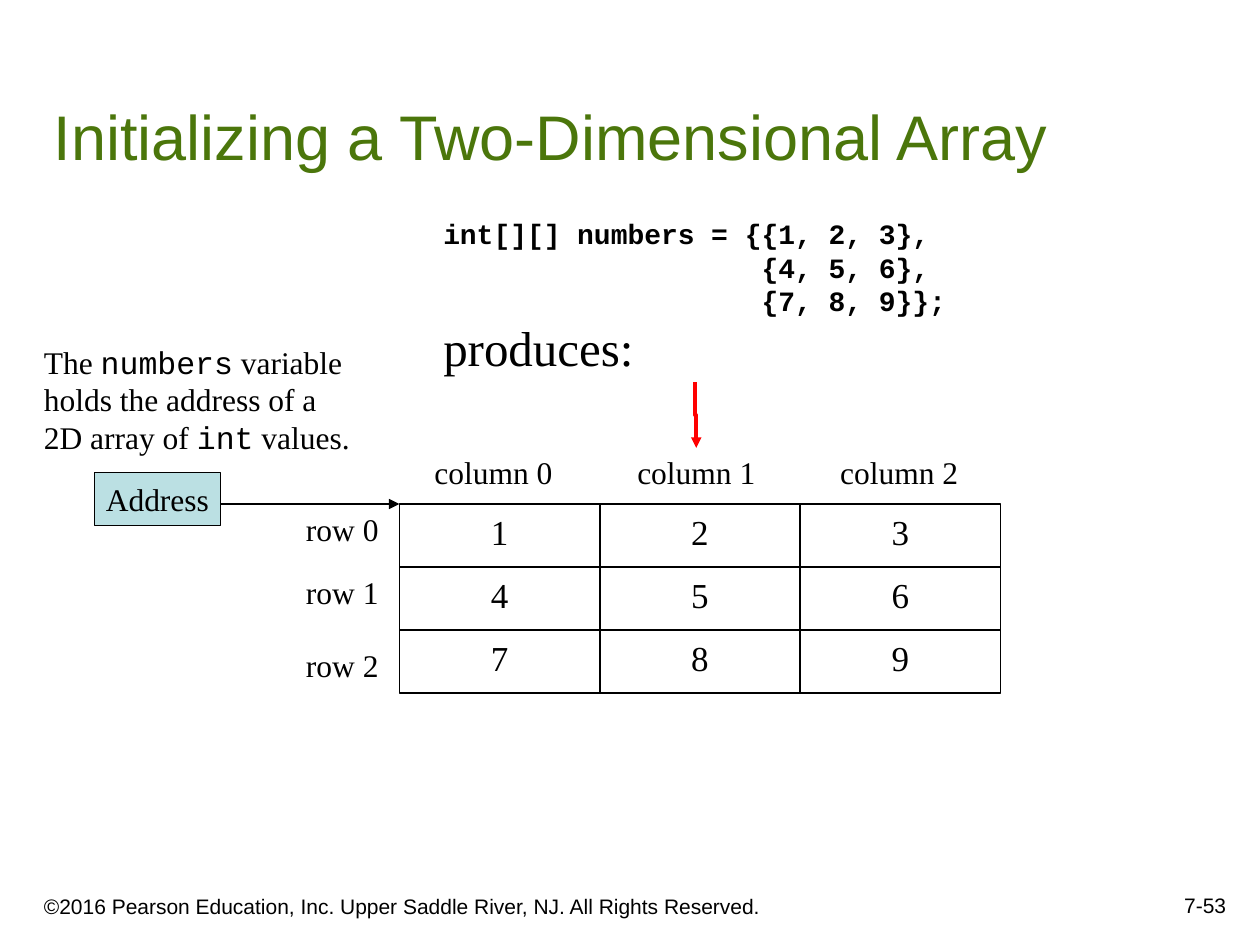
from lxml.etree import SubElement
from pptx import Presentation
from pptx.dml.color import RGBColor
from pptx.enum.shapes import MSO_CONNECTOR, MSO_SHAPE
from pptx.enum.text import MSO_ANCHOR, PP_ALIGN
from pptx.oxml.ns import qn
from pptx.util import Inches, Pt

hues = {"black": "000000", "green": "4B760B", "blue": "BBE0E3", "red": "FF0000"}
serif, sans, mono = "Times New Roman", "Arial", "Courier New"

deck = Presentation()
deck.slide_width, deck.slide_height = Inches(10), Inches(7.5)
slide = deck.slides.add_slide(deck.slide_layouts[6])


def write(shape, lines, size, face=serif, hue="black", align=PP_ALIGN.LEFT,
          anchor=MSO_ANCHOR.TOP, wrap=False):
    frame = shape.text_frame
    frame.word_wrap = wrap
    frame.vertical_anchor = anchor
    for i, line in enumerate(lines):
        para = frame.paragraphs[0] if i == 0 else frame.add_paragraph()
        para.alignment = align
        para.font.size = Pt(size)
        para.font.name = face
        para.font.color.rgb = RGBColor.from_string(hues[hue])
        for j, part in enumerate(line.split("`")):
            run = para.add_run()
            run.text = part
            if j % 2:
                run.font.name = mono
    return frame


def arrow(kind, ends, hue, width):
    link = slide.shapes.add_connector(kind, *[Inches(n) for n in ends])
    link.line.color.rgb = RGBColor.from_string(hues[hue])
    link.line.width = Pt(width)
    SubElement(link.line._get_or_add_ln(), qn("a:tailEnd"), type="triangle")
    SubElement(link._element.spPr, qn("a:effectLst"))
    return link


texts = [
    ((0.25, 6.92, 6.08, 0.42),
     ["©2016 Pearson Education, Inc. Upper Saddle River, NJ. All Rights Reserved."],
     dict(size=12, face=sans, anchor=MSO_ANCHOR.BOTTOM, wrap=True)),
    ((7.75, 6.83, 2.08, 0.5), ["7-53"],
     dict(size=12, face=sans, align=PP_ALIGN.RIGHT, anchor=MSO_ANCHOR.BOTTOM, wrap=True)),
    ((0.33, 0.33, 9.42, 1.09), ["Initializing a Two-Dimensional Array"],
     dict(size=36, face=sans, hue="green", anchor=MSO_ANCHOR.BOTTOM, wrap=True)),
    ((0.25, 2.67, 2.63, 1),
     ["The `numbers` variable", "holds the address of a", "2D array of `int` values."],
     dict(size=18)),
]
for i, top in enumerate((4, 4.5, 5.08)):
    texts.append(((2.33, top, 0.78, 0.4), [f"row {i}"], dict(size=18)))
    texts.append(((3.35 + 1.61 * i, 3.55, 1.14, 0.4), [f"column {i}"], dict(size=18)))
for place, lines, style in texts:
    box = slide.shapes.add_textbox(*[Inches(n) for n in place])
    write(box, lines, **style)

box = slide.shapes.add_textbox(Inches(3.42), Inches(1.67), Inches(4.2), Inches(1.37))
code = write(box, [
    "int[][] numbers = {{1, 2, 3},",
    "                   {4, 5, 6},",
    "                   {7, 8, 9}};",
    "produces:",
], 16, mono)
for para in code.paragraphs[:3]:
    para.font.bold = True
last = code.paragraphs[3].font
last.size, last.name = Pt(28), serif

rects = [((0.75, 3.75, 1, 0.42), "Address", 18, MSO_ANCHOR.MIDDLE, "blue", 0.75)]
for i in range(9):
    row, col = divmod(i, 3)
    place = (3.17 + 1.59 * col, 4 + 0.5 * row, 1.59, 0.5)
    rects.append((place, str(i + 1), 20, MSO_ANCHOR.TOP, None, 1))
for place, label, size, anchor, fill, width in rects:
    rect = slide.shapes.add_shape(MSO_SHAPE.RECTANGLE, *[Inches(n) for n in place])
    rect.shadow.inherit = False
    if fill:
        rect.fill.solid()
        rect.fill.fore_color.rgb = RGBColor.from_string(hues[fill])
    else:
        rect.fill.background()
    rect.line.color.rgb = RGBColor.from_string(hues["black"])
    rect.line.width = Pt(width)
    write(rect, [label], size, align=PP_ALIGN.CENTER, anchor=anchor, wrap=not fill)

arrow(MSO_CONNECTOR.STRAIGHT, (1.75, 4, 3.17, 4), "black", 0.75)
bend = arrow(MSO_CONNECTOR.ELBOW, (5.78, 3.29, 5.26, 3.3), "red", 2)
bend._element.spPr.find(qn("a:xfrm")).set("rot", "16200000")

deck.save("out.pptx")
